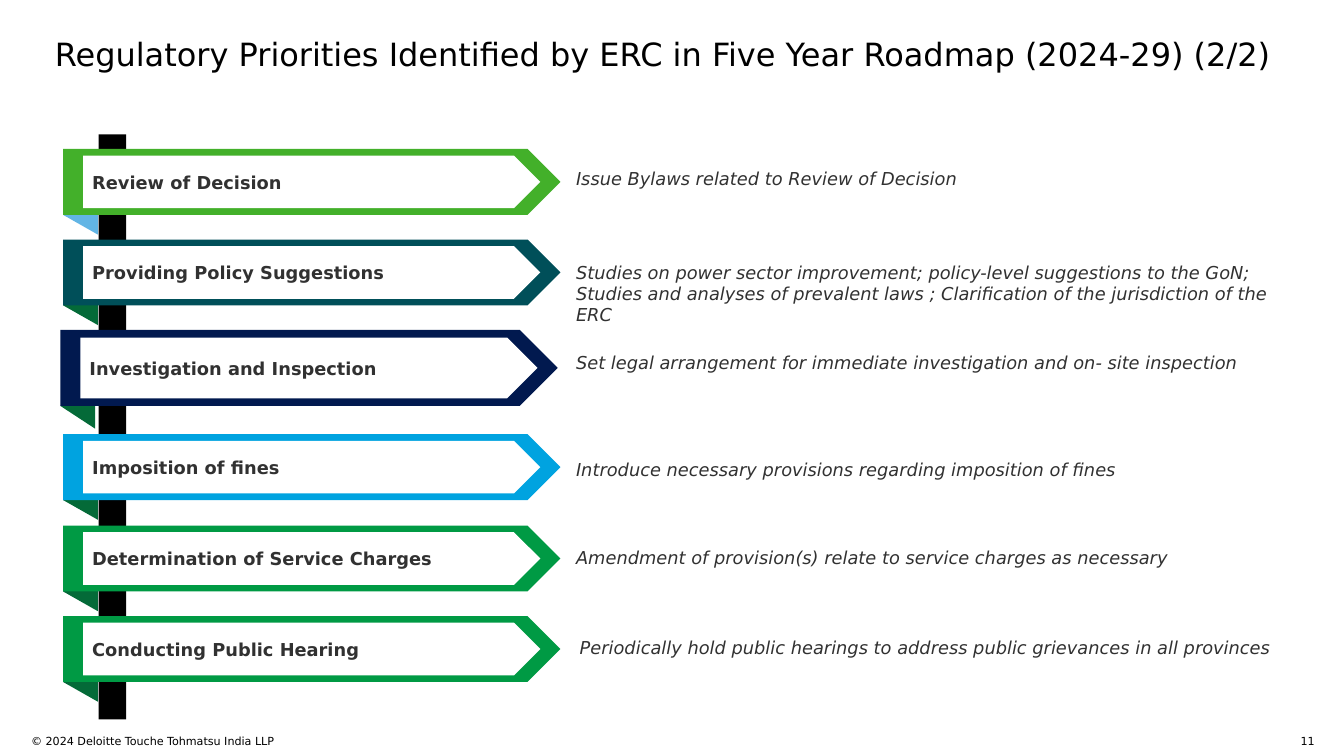
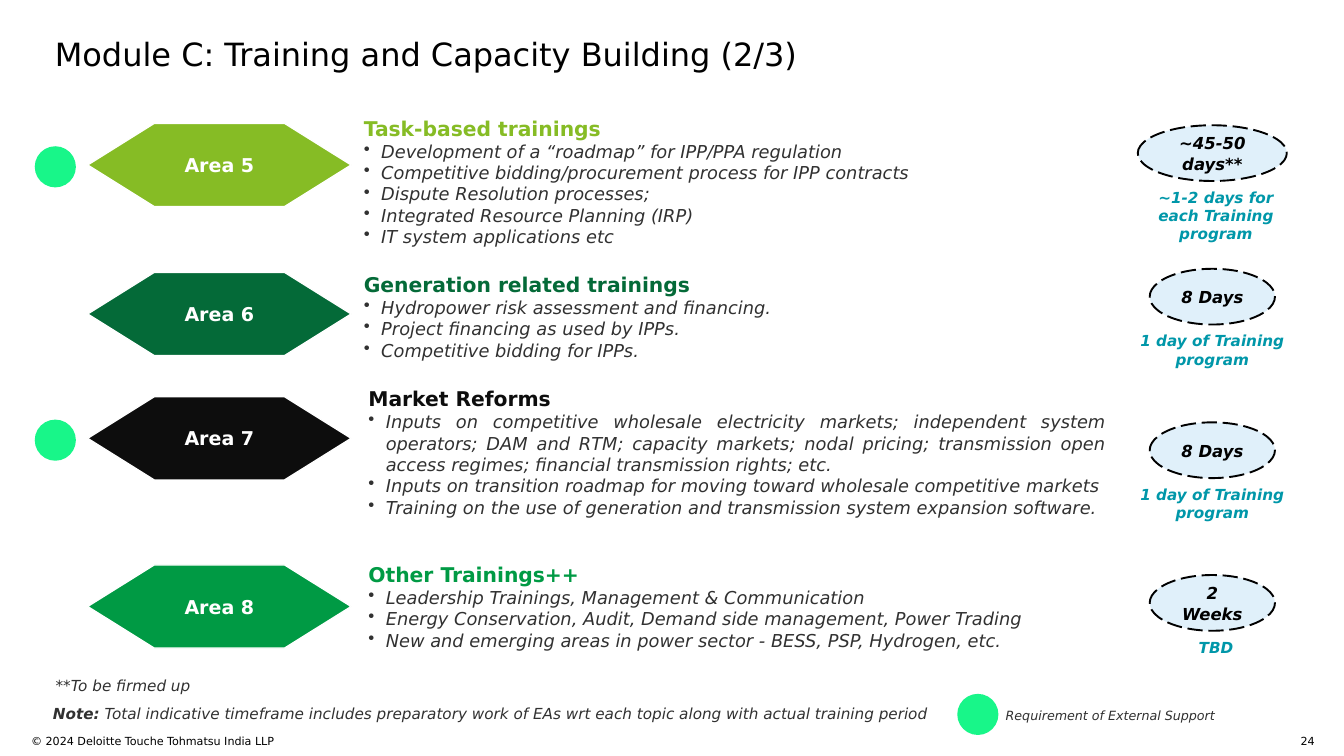
from lxml import etree
from pptx import Presentation
from pptx import util as u
from pptx.dml import color
from pptx.enum import dml, shapes, text
from pptx.oxml import ns

LEFT, CENTER, RIGHT, JUSTIFY = (text.PP_ALIGN.LEFT, text.PP_ALIGN.CENTER,
                                text.PP_ALIGN.RIGHT, text.PP_ALIGN.JUSTIFY)
TOP, MIDDLE = text.MSO_ANCHOR.TOP, text.MSO_ANCHOR.MIDDLE
SHAPE = shapes.MSO_SHAPE


def rgb(value):
    return color.RGBColor.from_string(value)


def put_text(p, words, size=14, fill="313131", bold=False, italic=False,
             align=LEFT, bullet=False, spacing=None):
    """Add formatted words to a paragraph."""
    if bullet:
        pPr = p._p.get_or_add_pPr()
        pPr.set("marL", str(u.Inches(0.19)))
        pPr.set("indent", str(-u.Inches(0.19)))
        etree.SubElement(pPr, ns.qn("a:buChar"), char="•")
    p.alignment = align
    if spacing:
        p.line_spacing = spacing
    r = p.add_run()
    r.text = words
    f = r.font
    f.name, f.size, f.bold, f.italic = Deck.FONT, u.Pt(size), bold, italic
    f.color.rgb = rgb(fill)


class Deck:
    FONT = "DejaVu Sans"
    BLACK, WHITE = "000000", "FFFFFF"
    SUPPORT, PALE, TEAL = "18F689", "E0F0FA", "0097A9"
    FOOTER = "© 2024 Deloitte Touche Tohmatsu India LLP"

    def __init__(self):
        self.prs = Presentation()
        self.prs.slide_width = u.Inches(14.7)
        self.prs.slide_height = u.Inches(8.27)

    def frame(self, sp, inset=(0, 0), anchor=TOP):
        tf = sp.text_frame
        tf.word_wrap = True
        tf.auto_size = text.MSO_AUTO_SIZE.NONE
        tf.vertical_anchor = anchor
        tf.margin_left = tf.margin_right = u.Inches(inset[0])
        tf.margin_top = tf.margin_bottom = u.Inches(inset[1])
        return tf

    def slide(self, title, number):
        """Start a slide with its title, copyright line and number."""
        self.s = self.prs.slides.add_slide(self.prs.slide_layouts[5])
        sp = self.s.shapes.title
        sp.left, sp.top, sp.width, sp.height = map(
            u.Inches, (0.6, 0.38, 13.46, 0.4))
        put_text(self.frame(sp).paragraphs[0], title, size=25.2, fill=self.BLACK)
        self.text((0.34, 8.03, 6.46, 0.24), self.FOOTER, size=8.8, fill=self.BLACK)
        self.text((14.01, 8.03, 0.37, 0.12), number, size=8.8, fill=self.BLACK,
                  align=RIGHT)

    def text(self, box, words, inset=(0, 0), **fmt):
        tf = self.frame(self.s.shapes.add_textbox(*map(u.Inches, box)), inset)
        put_text(tf.paragraphs[0], words, **fmt)
        return tf

    def shape(self, kind, box, fill, line=None, width=1, parent=None):
        sp = (parent or self.s).shapes.add_shape(kind, *map(u.Inches, box))
        sp.shadow.inherit = False
        sp.fill.solid()
        sp.fill.fore_color.rgb = rgb(fill)
        if line:
            sp.line.color.rgb = rgb(line)
            sp.line.width = u.Pt(width)
        else:
            sp.line.fill.background()
        return sp

    def ribbon(self, top, height, left, fill, fold, words):
        """Arrow banner with a fold behind its lower left corner."""
        grp = self.s.shapes.add_group_shape()
        fold_w, fold_h = height * 0.6, 0.38
        tri = self.shape(SHAPE.ISOSCELES_TRIANGLE,
                         (left + 0.19 - fold_w / 2, top + height - fold_h / 2,
                          fold_w, fold_h), fold, parent=grp)
        tri.rotation = 270
        self.shape(SHAPE.PENTAGON, (left, top, 5.44, height), fill, parent=grp)
        label = self.shape(SHAPE.PENTAGON,
                           (left + 0.22, top + height * 0.1, 5, height * 0.8),
                           self.WHITE, parent=grp)
        put_text(self.frame(label, (0.1, 0.05), MIDDLE).paragraphs[0], words,
                 bold=True)

    def hexagon(self, top, fill, words):
        sp = self.shape(SHAPE.HEXAGON, (0.96, top, 2.88, 0.91), fill, self.WHITE)
        sp.adjustments[0] = 0.8
        put_text(self.frame(sp, anchor=MIDDLE).paragraphs[0], words, size=15,
                 fill=self.WHITE, bold=True, align=CENTER)

    def topics(self, box, heading, fill, items):
        tf = self.text(box, heading, size=16, fill=fill, bold=True, align=JUSTIFY)
        for item in items:
            put_text(tf.add_paragraph(), item, italic=True, align=JUSTIFY,
                     bullet=True)

    def duration(self, top, width, words, caption, caption_left):
        sp = self.shape(SHAPE.OVAL, (13.26 - width / 2, top, width, 0.61),
                        self.PALE, self.BLACK, 1.5)
        sp.line.dash_style = dml.MSO_LINE.LONG_DASH
        put_text(self.frame(sp, (0.1, 0.1), MIDDLE).paragraphs[0], words, size=13,
                 fill=self.BLACK, bold=True, italic=True, align=CENTER,
                 spacing=1.06)
        self.text((caption_left, top + 0.64, 1.9, 0.7), caption, (0.1, 0.05),
                  size=12, fill=self.TEAL, bold=True, italic=True, align=CENTER)

    def support_dot(self, left, top):
        self.shape(SHAPE.OVAL, (left, top, 0.45, 0.45), self.SUPPORT)


def priorities(d):
    d.slide("Regulatory Priorities Identified by ERC in Five Year Roadmap "
            "(2024-29) (2/2)", "11")
    # Vertical post behind the ribbons
    d.shape(SHAPE.RECTANGLE, (1.08, 1.47, 0.3, 6.4), d.BLACK)
    # Ribbon top, height, left, colour, fold, label; then note left, top, words
    rows = [
        (1.63, 0.72, 0.69, "43B02A", "62B5E5", "Review of Decision",
         6.3, 1.83, "Issue Bylaws related to Review of Decision"),
        (2.62, 0.72, 0.69, "004F59", "046A38", "Providing Policy Suggestions",
         6.3, 2.86, "Studies on power sector improvement; policy-level suggestions "
         "to the GoN; Studies and analyses of prevalent laws ; Clarification of "
         "the jurisdiction of the ERC"),
        (3.61, 0.83, 0.66, "01194F", "046A38", "Investigation and Inspection",
         6.3, 3.85, "Set legal arrangement for immediate investigation and on- "
         "site inspection"),
        (4.75, 0.72, 0.69, "00A3E0", "046A38", "Imposition of fines",
         6.3, 5.02, "Introduce necessary provisions regarding imposition of fines"),
        (5.75, 0.72, 0.69, "009A44", "046A38", "Determination of Service Charges",
         6.3, 5.98, "Amendment of provision(s) relate to service charges as "
         "necessary"),
        (6.74, 0.72, 0.69, "009A44", "046A38", "Conducting Public Hearing",
         6.34, 6.96, "Periodically hold public hearings to address public "
         "grievances in all provinces"),
    ]
    for *ribbon, left, top, note in rows:
        d.ribbon(*ribbon)
        d.text((left, top, 7.62, 0.71), note, italic=True)


def training(d):
    d.slide("Module C: Training and Capacity Building (2/3)", "24")
    # Area label, hexagon top, colour, support; topics; duration
    areas = [
        ("Area 5", 1.35, "86BC25", True,
         (3.98, 1.27, 7.34, 1.45), "Task-based trainings",
         ["Development of a “roadmap” for IPP/PPA regulation",
          "Competitive bidding/procurement process for IPP contracts",
          "Dispute Resolution processes;",
          "Integrated Resource Planning (IRP)",
          "IT system applications etc"],
         (1.37, 1.63, "~45-50 days**", "~1-2 days for each Training program", 12.35)),
        ("Area 6", 2.98, "046A38", False,
         (3.98, 2.98, 7.34, 0.98), "Generation related trainings",
         ["Hydropower risk assessment and financing.",
          "Project financing as used by IPPs.",
          "Competitive bidding for IPPs."],
         (2.94, 1.37, "8 Days", "1 day of Training program", 12.31)),
        ("Area 7", 4.34, "0D0D0D", True,
         (4.03, 4.23, 8.07, 1.45), "Market Reforms",
         ["Inputs on competitive wholesale electricity markets; independent "
          "system operators; DAM and RTM; capacity markets; nodal pricing; "
          "transmission open access regimes; financial transmission rights; etc.",
          "Inputs on transition roadmap for moving toward wholesale competitive "
          "markets",
          "Training on the use of generation and transmission system expansion "
          "software."],
         (4.62, 1.37, "8 Days", "1 day of Training program", 12.31)),
        ("Area 8", 6.18, "009A44", False,
         (4.03, 6.15, 7.34, 0.98), "Other Trainings++",
         ["Leadership Trainings, Management & Communication",
          "Energy Conservation, Audit, Demand side management, Power Trading",
          "New and emerging areas in power sector - BESS, PSP, Hydrogen, etc."],
         (6.29, 1.37, "2 Weeks", "TBD", 12.35)),
    ]
    for label, top, fill, support, box, heading, items, duration in areas:
        d.hexagon(top, fill, label)
        if support:
            d.support_dot(0.38, top + 0.25)
        d.topics(box, heading, fill, items)
        d.duration(*duration)

    # Notes and legend
    d.text((0.51, 7.35, 2.18, 0.3), "**To be firmed up", (0.1, 0.05), size=12,
           italic=True)
    note = d.text((0.48, 7.66, 9.9, 0.3), "Note:", (0.1, 0.05), size=12, bold=True,
                  italic=True)
    put_text(note.paragraphs[0], " Total indicative timeframe includes preparatory "
             "work of EAs wrt each topic along with actual training period",
             size=12, italic=True)
    d.support_dot(10.47, 7.59)
    d.text((11, 7.74, 2.84, 0.17), "Requirement of External Support", size=10,
           italic=True)


def main():
    d = Deck()
    priorities(d)
    training(d)
    d.prs.save("out.pptx")


if __name__ == "__main__":
    main()
